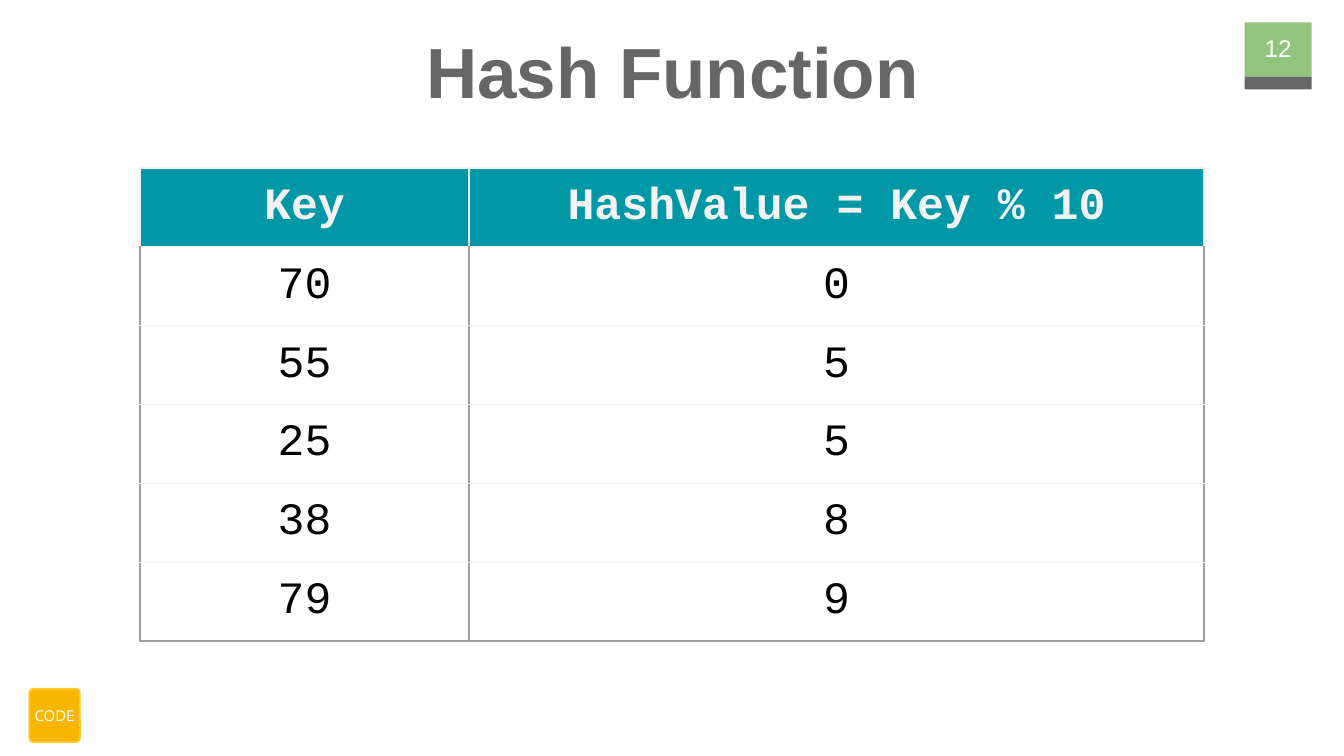
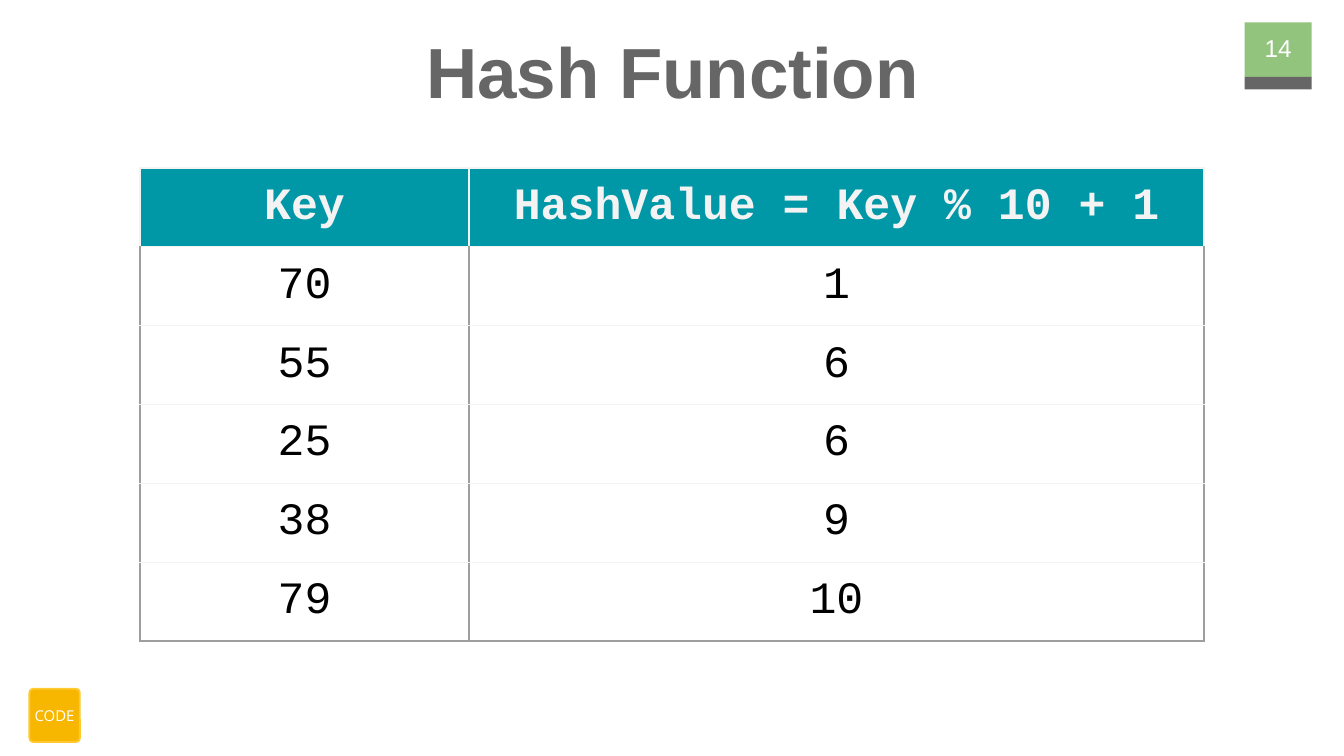
"""Builds two slides that tabulate hash functions of the same keys."""
import pptx
import pptx.dml.color
import pptx.enum.shapes
import pptx.enum.text
import pptx.oxml
import pptx.oxml.ns
import pptx.util

PX = 9525
COLORS = {
    "green": "93C47D", "gray": "666666", "yellow": "F7B600", "gold": "FFC92F",
    "teal": "0097A7", "pale": "F3F3F3", "rule": "9E9E9E",
    "white": "FFFFFF", "black": "000000",
}
MARGIN = 10
TITLE = {"size": 38, "name": "Arial", "bold": True, "color": "gray"}
PAGE = {"size": 13, "name": "Arial", "bold": False, "color": "white"}
BADGE = {"size": 8, "name": "Open Sans", "bold": False, "color": "white"}
HEAD = {"size": 24, "name": "Courier New", "bold": True, "color": "pale"}
BODY = {**HEAD, "bold": False, "color": "black"}
TOP = pptx.enum.text.MSO_ANCHOR.TOP
MIDDLE = pptx.enum.text.MSO_ANCHOR.MIDDLE
SHAPES = pptx.enum.shapes.MSO_SHAPE

KEYS = (70, 55, 25, 38, 79)
SLIDES = (
    (12, "HashValue = Key % 10", lambda key: key % 10),
    (14, "HashValue = Key % 10 + 1", lambda key: key % 10 + 1),
)


def px(*lengths):
    """Turn px lengths into EMU."""
    return [pptx.util.Emu(n * PX) for n in lengths]


def rgb(name):
    """Look up a named colour."""
    return pptx.dml.color.RGBColor.from_string(COLORS[name])


def assign(target, values):
    """Set each attribute in a dict of values."""
    for name, value in values.items():
        setattr(target, name, value)


def place(shape, box):
    """Move and size a shape."""
    assign(shape, dict(zip(("left", "top", "width", "height"), px(*box))))


def write(tf, text, style):
    """Write one centred, formatted line."""
    p = tf.paragraphs[0]
    p.alignment = pptx.enum.text.PP_ALIGN.CENTER
    r = p.add_run()
    r.text = text
    assign(r.font, {"size": pptx.util.Pt(style["size"]),
                    "name": style["name"], "bold": style["bold"]})
    r.font.color.rgb = rgb(style["color"])


def set_frame(tf, anchor, margins):
    """Set the anchor, wrapping and left, top, right, bottom margins."""
    sides = ("margin_left", "margin_top", "margin_right", "margin_bottom")
    assign(tf, {"word_wrap": True, "vertical_anchor": anchor,
                "auto_size": pptx.enum.text.MSO_AUTO_SIZE.NONE,
                **dict(zip(sides, px(*margins)))})


def add_block(s, kind, box, fill, line=None):
    """Add a filled preset shape."""
    sp = s.shapes.add_shape(kind, *px(*box))
    sp.shadow.inherit = False
    sp.fill.solid()
    sp.fill.fore_color.rgb = rgb(fill)
    if line:
        sp.line.color.rgb = rgb(line)
        sp.line.width = pptx.util.Pt(1)
    else:
        sp.line.fill.background()
    return sp


def add_frame(s, page):
    """Add the page marker and the corner badge."""
    add_block(s, SHAPES.RECTANGLE, (889, 16, 48, 39), "green")
    add_block(s, SHAPES.RECTANGLE, (889, 55, 48, 9), "gray")
    badge = add_block(s, SHAPES.ROUNDED_RECTANGLE, (21, 492, 36, 38), "yellow", "gold")
    badge.adjustments[0] = 0.08
    set_frame(badge.text_frame, MIDDLE, [0] * 4)
    write(badge.text_frame, "CODE", BADGE)
    number = s.shapes.add_textbox(*px(884, 14, 58, 41))
    set_frame(number.text_frame, MIDDLE, [MARGIN] * 4)
    write(number.text_frame, str(page), PAGE)


def add_title(s, text):
    """Fill the title placeholder."""
    place(s.shapes.title, (33, 4, 895, 60))
    tf = s.shapes.title.text_frame
    set_frame(tf, TOP, (MARGIN, 16, MARGIN, MARGIN))
    write(tf, text, TITLE)


def set_borders(cell, colors):
    """Draw the left, right, top and bottom borders of a cell."""
    tc_pr = cell._tc.get_or_add_tcPr()
    for side, color in zip("LRTB", colors):
        tc_pr.append(pptx.oxml.parse_xml(
            f'<a:ln{side} {pptx.oxml.ns.nsdecls("a")} w="{pptx.util.Pt(0.75)}">'
            f'<a:solidFill><a:srgbClr val="{COLORS[color]}"/></a:solidFill>'
            f'</a:ln{side}>'))


def add_hash_table(s, rows):
    """Add the table of keys and hash values."""
    widths, row_height = (235, 525), 40
    table = s.shapes.add_table(len(rows), len(widths), *px(
        100, 120, sum(widths), row_height * len(rows))).table
    table.horz_banding = False
    for column, width in zip(table.columns, px(*widths)):
        column.width = width
    for i, row in enumerate(rows):
        for j, text in enumerate(row):
            cell = table.cell(i, j)
            assign(cell, dict.fromkeys(
                ("margin_left", "margin_top", "margin_right", "margin_bottom"),
                px(MARGIN)[0]))
            side = "rule" if i else "pale"
            bottom = "rule" if i == len(rows) - 1 else "pale"
            set_borders(cell, (side, side, "pale", bottom))
            if i:
                cell.fill.background()
            else:
                cell.fill.solid()
                cell.fill.fore_color.rgb = rgb("teal")
            write(cell.text_frame, str(text), BODY if i else HEAD)


def main():
    """Build and save the slides."""
    prs = pptx.Presentation()
    prs.slide_width, prs.slide_height = px(960, 540)
    for page, formula, hash_value in SLIDES:
        s = prs.slides.add_slide(prs.slide_layouts[5])
        add_frame(s, page)
        add_title(s, "Hash Function")
        add_hash_table(s, [("Key", formula)] + [(key, hash_value(key)) for key in KEYS])
    prs.save("out.pptx")


if __name__ == "__main__":
    main()
